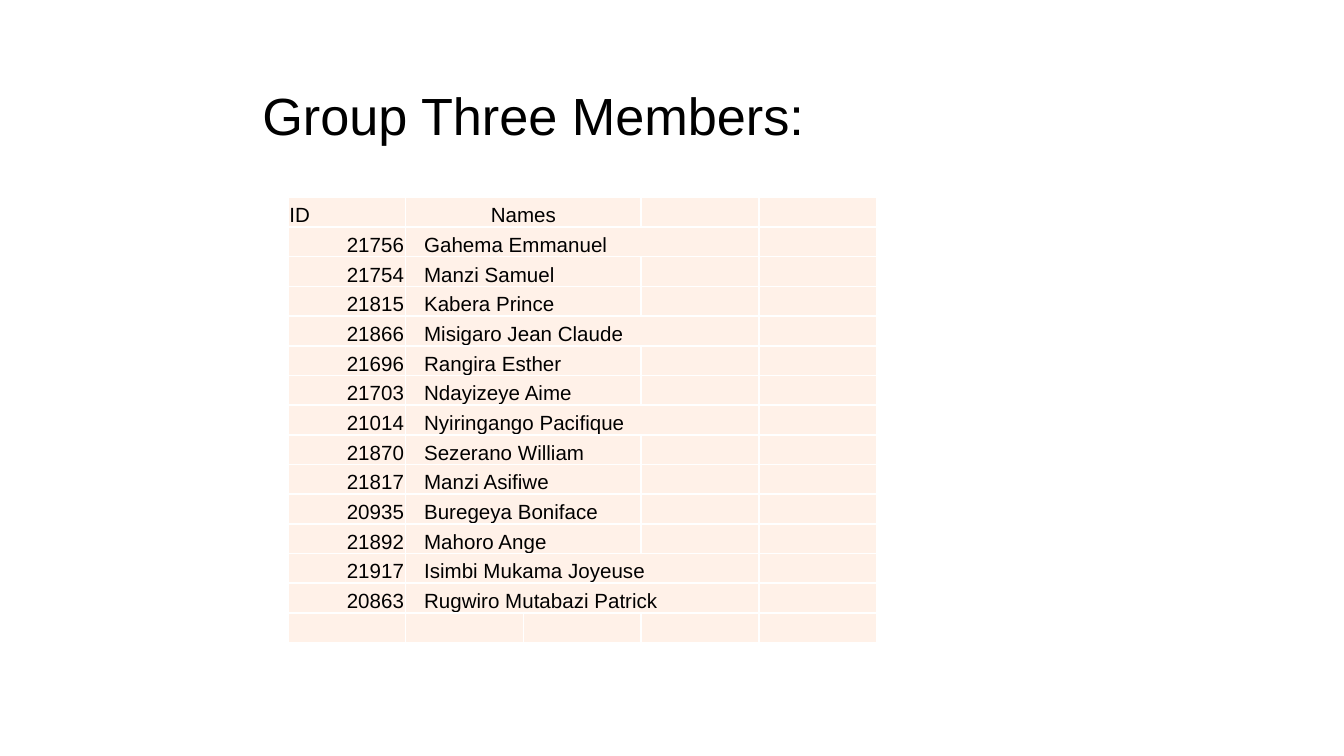
from lxml import etree
from pptx import Presentation
from pptx import util as u
from pptx.dml.color import RGBColor
from pptx.enum import text
from pptx.oxml.ns import qn

BLACK = RGBColor(0, 0, 0)
PEACH = RGBColor(0xFF, 0xF1, 0xE8)
WHITE = RGBColor(0xFF, 0xFF, 0xFF)
FONT = "Arial"
BODY_SIZE = u.Pt(11)
COLUMNS = 5

# ID, name, number of columns the name spans
MEMBERS = [
    ("21756", "Gahema Emmanuel", 3),
    ("21754", "Manzi Samuel", 2),
    ("21815", "Kabera Prince", 2),
    ("21866", "Misigaro Jean Claude", 3),
    ("21696", "Rangira Esther", 2),
    ("21703", "Ndayizeye Aime", 2),
    ("21014", "Nyiringango Pacifique", 3),
    ("21870", "Sezerano William", 2),
    ("21817", "Manzi Asifiwe", 2),
    ("20935", "Buregeya Boniface", 2),
    ("21892", "Mahoro Ange", 2),
    ("21917", "Isimbi Mukama Joyeuse", 3),
    ("20863", "Rugwiro Mutabazi Patrick", 3),
]


def apply(target, **values):
    """Set every given attribute on the target."""
    for name, value in values.items():
        setattr(target, name, value)


def write(paragraph, words, size, align=text.PP_ALIGN.LEFT):
    """Write one run of black text."""
    paragraph.alignment = align
    run = paragraph.add_run()
    run.text = words
    apply(run.font, name=FONT, size=size)
    run.font.color.rgb = BLACK


def add_title(slide, left, top, width, height):
    """Place the heading, indented within its box."""
    heading = slide.shapes.add_textbox(left, top, width, height).text_frame
    apply(heading, word_wrap=True, margin_left=u.Cm(4.1), margin_top=u.Cm(0.25),
          margin_right=u.Cm(0.25), margin_bottom=u.Cm(0.25))
    write(heading.paragraphs[0], "Group Three Members:", u.Pt(28))


def style_cell(cell):
    """Give a cell its fill, white borders, tight margins and empty-line size."""
    apply(cell, margin_left=u.Cm(0.03), margin_right=u.Cm(0.03),
          margin_top=u.Cm(0.03), margin_bottom=0,
          vertical_anchor=text.MSO_ANCHOR.BOTTOM)
    cell.fill.solid()
    cell.fill.fore_color.rgb = PEACH
    properties = cell._tc.get_or_add_tcPr()
    for position, side in enumerate(("lnL", "lnR", "lnT", "lnB")):
        border = etree.Element(qn(f"a:{side}"), w=str(u.Pt(1)))
        fill = etree.SubElement(border, qn("a:solidFill"))
        etree.SubElement(fill, qn("a:srgbClr"), val=str(WHITE))
        properties.insert(position, border)
    etree.SubElement(cell.text_frame.paragraphs[0]._p, qn("a:endParaRPr"),
                     sz=str(int(BODY_SIZE.pt * 100)))


def add_members(slide, left, top, width, height):
    """Place the member table: a header, one row per member and an empty row."""
    row_count = len(MEMBERS) + 2
    members = slide.shapes.add_table(row_count, COLUMNS, left, top, width, height).table
    apply(members, first_row=False, horz_banding=False)
    for row in members.rows:
        row.height = height // row_count
        for cell in row.cells:
            style_cell(cell)

    align = text.PP_ALIGN
    rows = [("ID", "Names", 2)] + MEMBERS
    for index, (member_id, name, span) in enumerate(rows):
        header = index == 0
        id_cell, name_cell = members.cell(index, 0), members.cell(index, 1)
        name_cell.merge(members.cell(index, span))
        write(id_cell.text_frame.paragraphs[0], member_id, BODY_SIZE,
              align.LEFT if header else align.RIGHT)
        write(name_cell.text_frame.paragraphs[0], name, BODY_SIZE,
              align.CENTER if header else align.LEFT)
        if not header:
            name_cell.margin_left = u.Cm(0.35)


deck = Presentation()
apply(deck, slide_width=u.Cm(25.4), slide_height=u.Cm(14.29))
page = deck.slides.add_slide(deck.slide_layouts[6])
add_title(page, u.Cm(0.86), u.Cm(1.32), u.Cm(23.67), u.Cm(1.6))
add_members(page, u.Cm(5.44), u.Cm(3.73), u.Cm(11.13), u.Cm(8.42))
deck.save("out.pptx")
